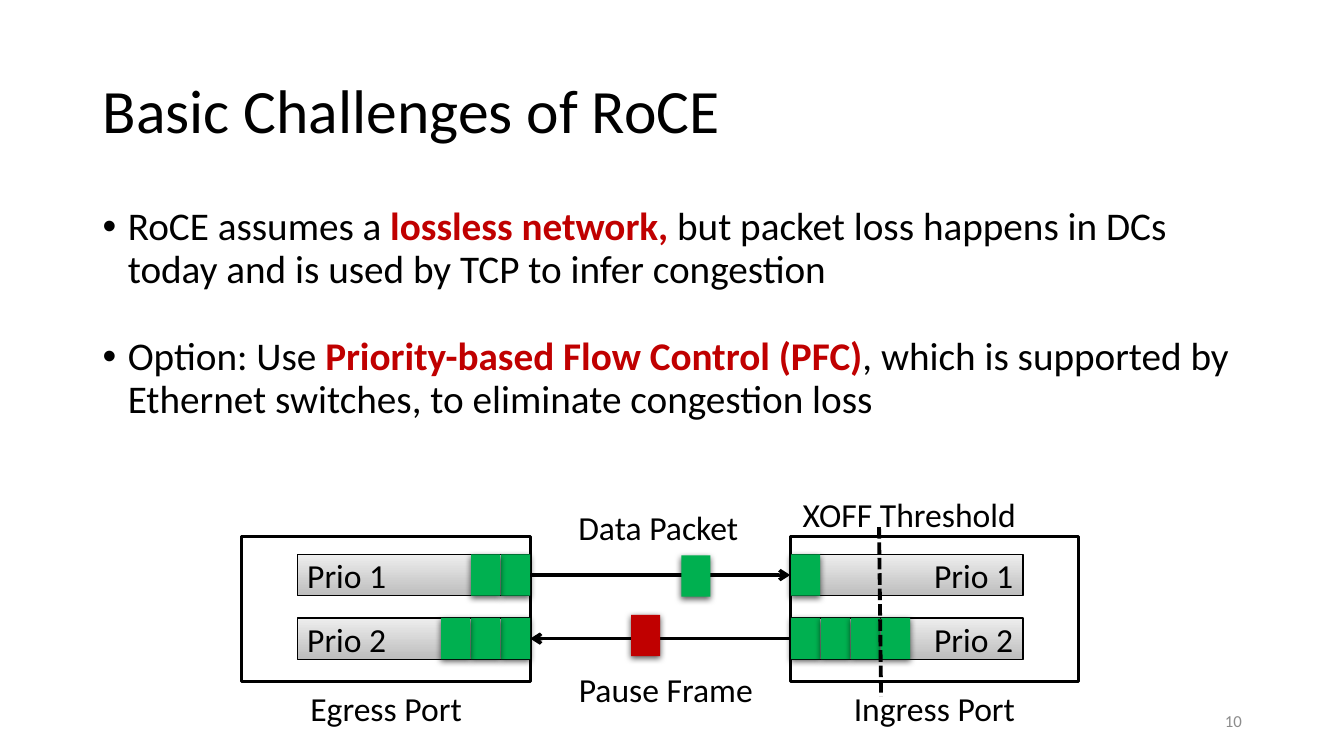
from lxml import etree
from pptx import Presentation
from pptx import util as u
from pptx.dml.color import RGBColor
from pptx.enum import dml, shapes, text
from pptx.oxml import parse_xml
from pptx.oxml.ns import nsdecls, qn

THEME = {
    "font": "Calibri",
    "ink": "000000", "red": "C00000", "green": "00B050", "mute": "8C8C8C",
    "dark": "BDBDBD", "light": "EEEEEE",
    "title": 44, "body": 28, "label": 24, "note": 12,
}
LEFT, MID, RIGHT = text.PP_ALIGN.LEFT, text.PP_ALIGN.CENTER, text.PP_ALIGN.RIGHT
TOP, CENTER = text.MSO_ANCHOR.TOP, text.MSO_ANCHOR.MIDDLE
ROWS = (12.5, 56.3)
TALL = 28.5


def tint(name):
    """Return a theme colour."""
    return RGBColor.from_string(THEME[name])


def put(item, vals):
    """Set every attribute named in a dict."""
    for key, val in vals.items():
        setattr(item, key, val)


def cut(box, x, y, w, h):
    """Return a part of a box, given in percent of its width and height."""
    left, top, wide, high = box
    return (int(left + wide * x / 100), int(top + high * y / 100),
            int(wide * w / 100), int(high * h / 100))


def write(para, words, size, color="ink", bold=False):
    """Add one run of text to a paragraph."""
    run = para.add_run()
    run.text = words
    put(run.font, {"name": THEME["font"], "size": u.Pt(THEME[size]), "bold": bold})
    run.font.color.rgb = tint(color)


def label(slide, box, words, size="label", align=MID, anchor=TOP, color="ink"):
    """Add a text box with one line of text."""
    frame = slide.shapes.add_textbox(*box).text_frame
    put(frame, {"word_wrap": True, "vertical_anchor": anchor})
    para = frame.paragraphs[0]
    para.alignment = align
    write(para, words, size, color)
    return para


def rect(slide, box, line=None):
    """Add a plain rectangle without fill or shadow."""
    item = slide.shapes.add_shape(shapes.MSO_SHAPE.RECTANGLE, *box)
    item.shadow.inherit = False
    item.fill.background()
    if line:
        item.line.color.rgb = tint("ink")
        item.line.width = u.Pt(line)
    else:
        item.line.fill.background()
    return item


def packet(slide, box, color="green"):
    """Add a coloured packet with a soft shadow."""
    item = rect(slide, box)
    item.fill.solid()
    item.fill.fore_color.rgb = tint(color)
    item._element.spPr.find(qn("a:effectLst")).append(parse_xml(
        f'<a:outerShdw {nsdecls("a")} blurRad="57150" dist="19050" dir="5400000" '
        'algn="ctr" rotWithShape="0"><a:srgbClr val="000000">'
        '<a:alpha val="63000"/></a:srgbClr></a:outerShdw>'))


def wire(slide, ends, width):
    """Add a straight black line without shadow."""
    item = slide.shapes.add_connector(shapes.MSO_CONNECTOR.STRAIGHT, *ends)
    item.line.color.rgb = tint("ink")
    item.line.width = u.Pt(width)
    etree.SubElement(item._element.spPr, qn("a:effectLst"))
    return item


def queue(slide, box, words, align):
    """Add a shaded priority queue."""
    item = rect(slide, box, 1)
    item.fill.gradient()
    item.fill.gradient_angle = 90
    for stop, name in zip(item.fill.gradient_stops, ("dark", "light")):
        stop.color.rgb = tint(name)
    put(item.text_frame, {"word_wrap": True, "vertical_anchor": CENTER})
    para = item.text_frame.paragraphs[0]
    para.alignment = align
    write(para, words, "label")
    return item


def port(slide, box, name, counts, egress):
    """Draw a port with its queues and waiting packets; return the queues."""
    rect(slide, box, 2)
    label(slide, cut(box, 18.2, 101.4, 63.6, 34.7), name)
    queues = []
    for num, (row, count) in enumerate(zip(ROWS, counts), 1):
        area = cut(box, 19.2 if egress else 0, row, 80.8, TALL)
        queues.append(queue(slide, area, f"Prio {num}", LEFT if egress else RIGHT))
        for step in range(count):
            x = 89.9 - step * 10.4 if egress else 0.3 + step * 10.4
            packet(slide, cut(box, x, row, 10.1, TALL))
    return queues


def links(slide, box, egress, ingress):
    """Draw the arrows between the ports with their moving frames."""
    for start, out, end, into in ((egress[0], 3, ingress[0], 1),
                                  (ingress[1], 1, egress[1], 3)):
        item = wire(slide, (0, 0, 0, 0), 2.5)
        item.begin_connect(start, out)
        item.end_connect(end, into)
        etree.SubElement(item.line._get_or_add_ln(), qn("a:tailEnd"), type="arrow")
    packet(slide, cut(box, 58.1, 13.2, 11.2, TALL))
    packet(slide, cut(box, 38.8, 54.2, 11.2, TALL), "red")
    label(slide, cut(box, 14, -23.6, 70.5, 34.7), "Data Packet")
    label(slide, cut(box, 13.2, 88.2, 77.9, 34.7), "Pause Frame")


def limit(slide, box):
    """Draw the dashed threshold across a port."""
    x, y, w, h = cut(box, 30.8, -6.3, 0.7, 116.7)
    item = wire(slide, (x, y, x + w, y + h), 2.75)
    item.line.dash_style = dml.MSO_LINE.SQUARE_DOT
    label(slide, cut(box, -9.4, -32.6, 101.4, 34.7), "XOFF Threshold")


def points(slide, box, items):
    """Write the bullet points, each a plain, a strong and a plain part."""
    frame = slide.shapes.add_textbox(*box).text_frame
    frame.word_wrap = True
    for num, (first, strong, last) in enumerate(items):
        para = frame.add_paragraph() if num else frame.paragraphs[0]
        put(para, {"line_spacing": 0.9, "space_before": u.Pt(32.5 if num else 0)})
        props = para._p.get_or_add_pPr()
        props.set("marL", str(u.Inches(0.25)))
        props.set("indent", str(-u.Inches(0.25)))
        etree.SubElement(props, qn("a:buFont"), typeface="Arial")
        etree.SubElement(props, qn("a:buChar"), char="•")
        write(para, first, "body")
        write(para, strong, "body", "red", True)
        write(para, last, "body")


def main():
    """Build the slide and save it."""
    deck = Presentation()
    put(deck, {"slide_width": u.Inches(13.33), "slide_height": u.Inches(7.5)})
    slide = deck.slides.add_slide(deck.slide_layouts[6])
    page = (0, 0, deck.slide_width, deck.slide_height)
    title = label(slide, cut(page, 6.9, 5.3, 86.3, 19.3), "Basic Challenges of RoCE",
                  "title", LEFT, CENTER)
    title.line_spacing = 0.9
    points(slide, cut(page, 6.9, 26.7, 86.3, 63.5), (
        ("RoCE assumes a ", "lossless network,",
         " but packet loss happens in DCs today and is used by TCP to infer congestion"),
        ("Option: Use ", "Priority-based Flow Control (PFC)",
         ", which is supported by Ethernet switches, to eliminate congestion loss")))
    label(slide, cut(page, 70.65, 92.7, 22.5, 5.3), "10", "note", RIGHT, CENTER, "mute")
    left, gap, right = (cut(page, x, 70.93, w, 19.2)
                        for x, w in ((18, 21.45), (39.45, 19.35), (58.8, 21.45)))
    egress = port(slide, left, "Egress Port", (2, 3), True)
    ingress = port(slide, right, "Ingress Port", (1, 4), False)
    links(slide, gap, egress, ingress)
    limit(slide, right)
    deck.save("out.pptx")


if __name__ == "__main__":
    main()
